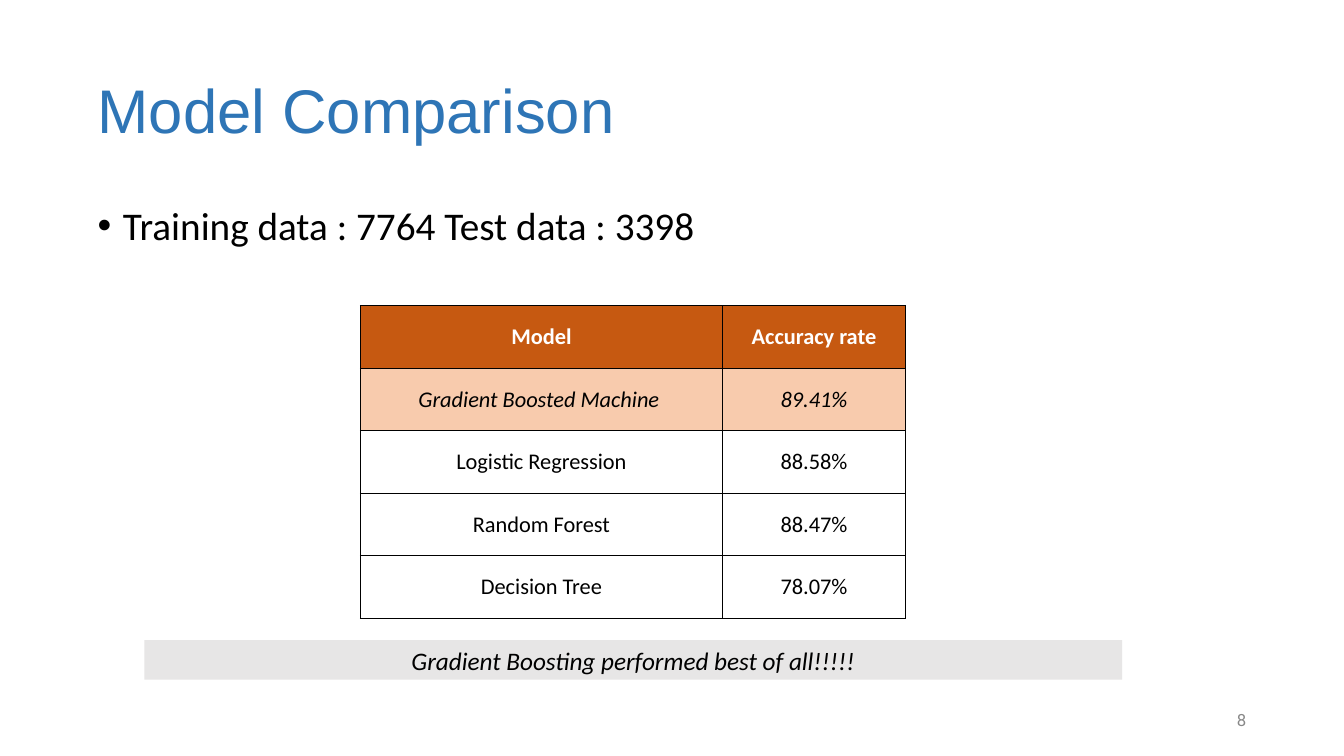
from collections import namedtuple
from dataclasses import dataclass

from lxml.etree import SubElement
from pptx import Presentation
from pptx.dml.color import RGBColor
from pptx.enum.shapes import MSO_SHAPE
from pptx.enum.text import MSO_ANCHOR, PP_ALIGN
from pptx.oxml.ns import qn
from pptx.util import Cm, Pt

Box = namedtuple("Box", "left top width height")


@dataclass(frozen=True)
class Theme:
    heading_font: str = "Arial"
    body_font: str = "Calibri"
    number_font: str = "Roboto"
    heading: str = "2E75B6"
    ink: str = "000000"
    light: str = "FFFFFF"
    header_fill: str = "C65911"
    best_fill: str = "F8CBAD"
    banner_fill: str = "E7E6E6"
    muted: str = "888888"
    title_size: int = 44
    bullet_size: int = 28
    banner_size: int = 18
    table_size: int = 16
    number_size: int = 12


THEME = Theme()
COLUMN_WIDTHS = (9.13, 4.61)
RESULTS = (
    ("Model", "Accuracy rate"),
    ("Gradient Boosted Machine ", "89.41%"),
    ("Logistic Regression", "88.58%"),
    ("Random Forest", "88.47%"),
    ("Decision Tree", "78.07%"),
)


def lengths(box):
    return [Cm(value) for value in box]


def add_span(para, text, size, color=THEME.ink, font=THEME.body_font, bold=False, italic=False):
    span = para.add_run()
    span.text = text
    span.font.name = font
    span.font.size = Pt(size)
    span.font.bold = bold
    span.font.italic = italic
    span.font.color.rgb = RGBColor.from_string(color)


def prepare_frame(frame, anchor, align, wrap=True):
    """Set the margins and anchor of a text frame; return its first paragraph."""
    frame.word_wrap = wrap
    frame.vertical_anchor = anchor
    frame.margin_left = frame.margin_right = Cm(0.13)
    frame.margin_top = frame.margin_bottom = Cm(0.13)
    para = frame.paragraphs[0]
    para.alignment = align
    return para


def fill_title(page, box):
    title = page.shapes.title
    title.left, title.top, title.width, title.height = lengths(box)
    para = prepare_frame(title.text_frame, MSO_ANCHOR.MIDDLE, PP_ALIGN.LEFT)
    para.line_spacing = 0.9
    add_span(para, "Model Comparison", THEME.title_size, THEME.heading, THEME.heading_font)


def add_bullet(page, box):
    shape = page.shapes.add_textbox(*lengths(box))
    para = prepare_frame(shape.text_frame, MSO_ANCHOR.TOP, PP_ALIGN.LEFT)
    para.line_spacing = 0.9
    para.space_before = Pt(10)
    add_span(para, "Training data : 7764 Test data : 3398", THEME.bullet_size)
    # Hanging bullet
    properties = para._p.get_or_add_pPr()
    indent = Cm(0.64)
    properties.set("marL", str(indent))
    properties.set("indent", str(-indent))
    SubElement(properties, qn("a:buFont"), typeface="Arial")
    SubElement(properties, qn("a:buChar"), char="•")


def add_borders(cell):
    properties = cell._tc.get_or_add_tcPr()
    for position, side in enumerate(("a:lnL", "a:lnR", "a:lnT", "a:lnB")):
        line = SubElement(properties, qn(side), w=str(Pt(0.5)))
        fill = SubElement(line, qn("a:solidFill"))
        SubElement(fill, qn("a:srgbClr"), val=THEME.ink)
        properties.insert(position, line)  # borders come before the fill


def format_cell(cell, text, row):
    header, best = row == 0, row == 1
    cell.margin_left = cell.margin_right = Cm(0.03)
    cell.margin_top = cell.margin_bottom = Cm(0.03)
    cell.vertical_anchor = MSO_ANCHOR.MIDDLE
    if header or best:
        cell.fill.solid()
        color = THEME.header_fill if header else THEME.best_fill
        cell.fill.fore_color.rgb = RGBColor.from_string(color)
    else:
        cell.fill.background()
    add_borders(cell)
    para = cell.text_frame.paragraphs[0]
    para.alignment = PP_ALIGN.CENTER
    add_span(para, text, THEME.table_size, THEME.light if header else THEME.ink,
             bold=header, italic=best)


def add_results(page, box):
    frame = page.shapes.add_table(len(RESULTS), len(COLUMN_WIDTHS), *lengths(box))
    table = frame.table
    table.horz_banding = False
    for column, width in zip(table.columns, COLUMN_WIDTHS):
        column.width = Cm(width)
    for row, texts in enumerate(RESULTS):
        table.rows[row].height = Cm(box.height / len(RESULTS))
        for column, text in enumerate(texts):
            format_cell(table.cell(row, column), text, row)


def add_banner(page, box):
    banner = page.shapes.add_shape(MSO_SHAPE.RECTANGLE, *lengths(box))
    banner.shadow.inherit = False
    banner.fill.solid()
    banner.fill.fore_color.rgb = RGBColor.from_string(THEME.banner_fill)
    banner.line.fill.background()
    para = prepare_frame(banner.text_frame, MSO_ANCHOR.TOP, PP_ALIGN.CENTER)
    add_span(para, "Gradient Boosting performed best of all!!!!!", THEME.banner_size, italic=True)


def add_page_number(page, box):
    shape = page.shapes.add_textbox(*lengths(box))
    para = prepare_frame(shape.text_frame, MSO_ANCHOR.MIDDLE, PP_ALIGN.RIGHT, wrap=False)
    add_span(para, "8", THEME.number_size, THEME.muted, THEME.number_font)


def main():
    deck = Presentation()
    deck.slide_width, deck.slide_height = Cm(33.87), Cm(19.05)
    page = deck.slides.add_slide(deck.slide_layouts[5])

    fill_title(page, Box(2.33, 1.01, 29.21, 3.68))
    add_bullet(page, Box(2.33, 5.07, 29.21, 2))
    add_results(page, Box(9.08, 7.7, sum(COLUMN_WIDTHS), 7.88))
    add_banner(page, Box(3.64, 16.13, 24.64, 1))
    add_page_number(page, Box(31.04, 17.78, 0.5, 0.74))

    deck.save("out.pptx")


if __name__ == "__main__":
    main()
